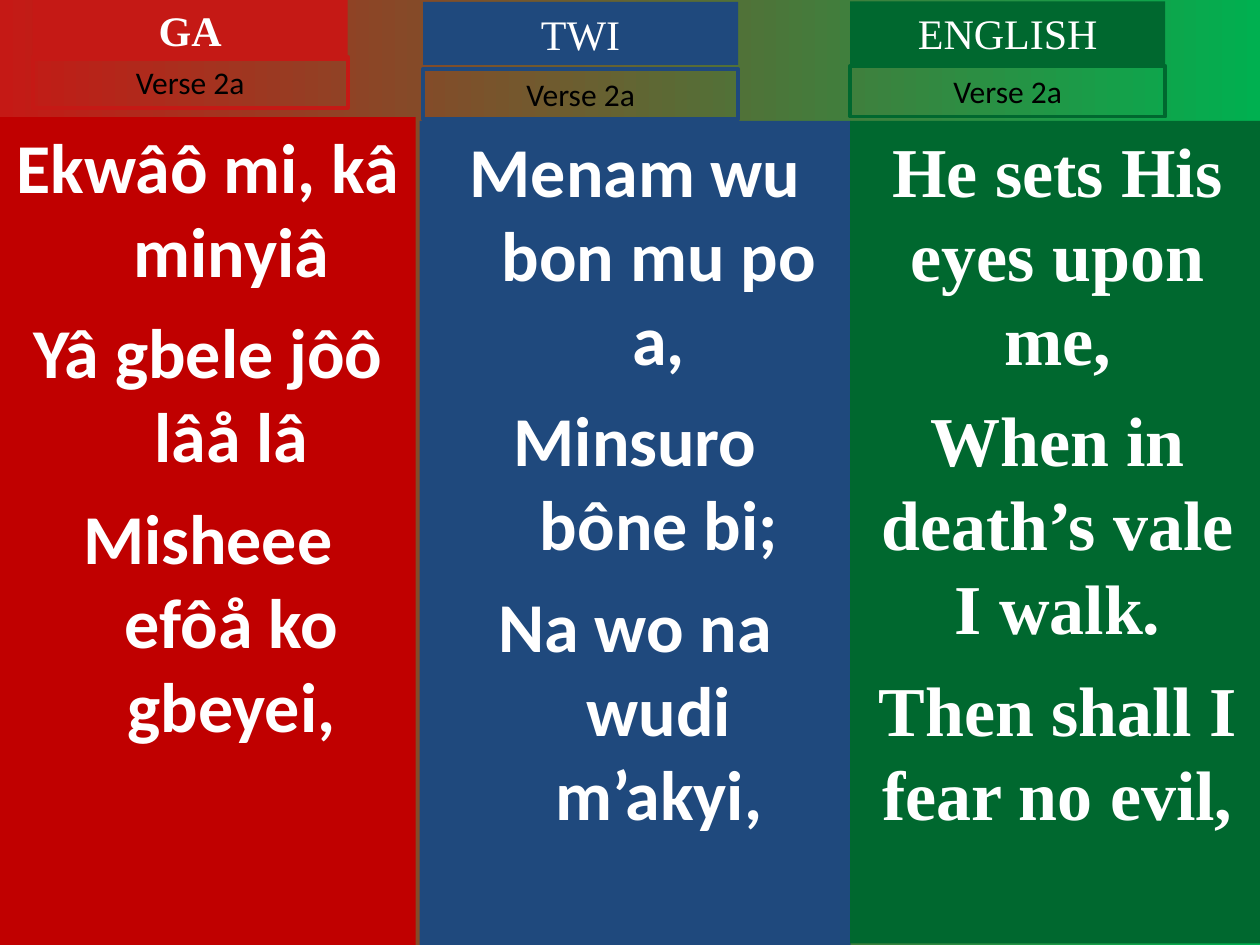
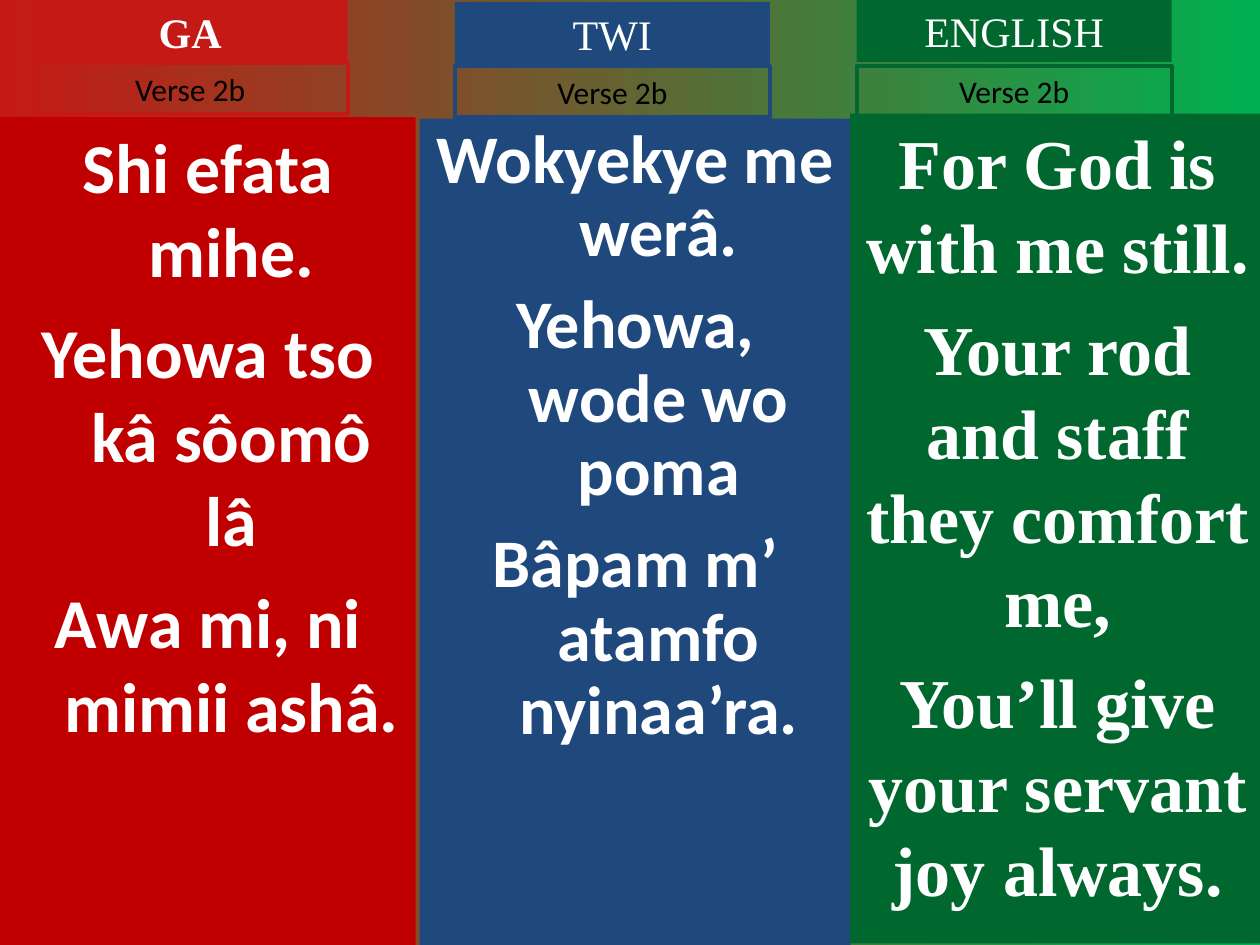
from pptx import Presentation
from pptx.dml.color import RGBColor
from pptx.enum.shapes import MSO_SHAPE
from pptx.enum.text import MSO_ANCHOR, PP_ALIGN
from pptx.util import Cm, Pt

RECT = MSO_SHAPE.RECTANGLE
TOP = MSO_ANCHOR.TOP
CENTER = PP_ALIGN.CENTER

RED = RGBColor(0xC5, 0x19, 0x15)
CRIMSON = RGBColor(0xC0, 0x00, 0x00)
BLUE = RGBColor(0x1F, 0x49, 0x7D)
GREEN = RGBColor(0x00, 0x68, 0x2F)
LIME = RGBColor(0x00, 0xB0, 0x50)
WHITE = RGBColor(0xFF, 0xFF, 0xFF)
BLACK = RGBColor(0x00, 0x00, 0x00)

SANS = "Calibri"
SERIF = "Times New Roman"
HEAD_W, HEAD_H, TAG_H = 6.35, 1.27, 1.02
HANG = 0.95

TONGUES = [
    dict(name="GA", left=0, width=8.38, foot=19.05, fill=CRIMSON, tint=RED,
         font=SANS, hang=HANG, bold=True),
    dict(name="TWI", left=8.46, width=8.69, foot=19.05, fill=BLUE, tint=BLUE,
         font=SANS, hang=HANG, bold=False),
    dict(name="ENGLISH", left=17.14, width=8.36, foot=19.02, fill=GREEN, tint=GREEN,
         font=SERIF, hang=0, bold=False),
]

VERSES = [
    ("Verse 2a", [
        dict(x=0.66, head=-0.04, tag=1.15, body=2.36, size=40, gap=10, pitch=1.0,
             lines=["Ekwâô mi, kâ minyiâ", "Yâ gbele jôô lâå lâ",
                    "Misheee efôå ko gbeyei,"]),
        dict(x=8.53, head=0.04, tag=1.39, body=2.44, size=40, gap=10, pitch=1.0,
             lines=["Menam wu bon mu po a,", "Minsuro bône bi;",
                    "Na wo na wudi m’akyi,"]),
        dict(x=17.14, head=0.03, tag=1.33, body=2.44, size=40, gap=10, pitch=1.0,
             lines=["He sets His eyes upon me,", "When in death’s vale I walk.",
                    "Then shall I fear no evil,"]),
    ]),
    ("Verse 2b", [
        dict(x=0.66, head=0, tag=1.28, body=2.36, size=40, gap=10, pitch=1.0,
             lines=["Shi efata mihe.", "Yehowa tso kâ sôomô lâ",
                    "Awa mi, ni mimii ashâ."]),
        dict(x=9.17, head=0.04, tag=1.34, body=2.39, size=38.9, gap=10.5, pitch=0.9,
             lines=["Wokyekye me werâ.", "Yehowa, wode wo poma",
                    "Bâpam m’ atamfo nyinaa’ra."]),
        dict(x=17.27, head=-0.02, tag=1.33, body=2.29, size=40, gap=10, pitch=1.0,
             lines=["For God is with me still.", "Your rod and staff they comfort me,",
                    "You’ll give your servant joy always."]),
    ]),
]


def add_box(slide, x, y, w, h, fill=None, line=None):
    box = slide.shapes.add_shape(RECT, Cm(x), Cm(y), Cm(w), Cm(h))
    box.shadow.inherit = False
    if fill is None:
        box.fill.background()
    else:
        box.fill.solid()
        box.fill.fore_color.rgb = fill
    if line is None:
        box.line.fill.background()
    else:
        box.line.color.rgb = line
        box.line.width = Pt(2.25)
    frame = box.text_frame
    frame.word_wrap = True
    frame.vertical_anchor = TOP
    return frame


def add_run(para, text, font, size, color, bold=False):
    para.alignment = CENTER
    run = para.add_run()
    run.text = text
    run.font.name = font
    run.font.size = Pt(size)
    run.font.bold = bold
    run.font.color.rgb = color


def add_lyrics(slide, tongue, part):
    top = part["body"]
    frame = add_box(slide, tongue["left"], top, tongue["width"],
                    tongue["foot"] - top, fill=tongue["fill"])
    for i, line in enumerate(part["lines"]):
        para = frame.add_paragraph() if i else frame.paragraphs[0]
        para.line_spacing = part["pitch"]
        if i:
            para.space_before = Pt(part["gap"])
        if tongue["hang"]:
            props = para._p.get_or_add_pPr()
            props.set("marL", str(Cm(tongue["hang"])))
            props.set("indent", str(-Cm(tongue["hang"])))
        add_run(para, line, tongue["font"], part["size"], WHITE, True)


def add_head(slide, tongue, part):
    frame = add_box(slide, part["x"], part["head"], HEAD_W, HEAD_H, fill=tongue["tint"])
    add_run(frame.paragraphs[0], tongue["name"], SERIF, 24, WHITE, tongue["bold"])


def add_tag(slide, tongue, part, label):
    frame = add_box(slide, part["x"], part["tag"], HEAD_W, TAG_H, line=tongue["tint"])
    add_run(frame.paragraphs[0], label, SANS, 18, BLACK)


def set_ground(slide):
    fill = slide.background.fill
    fill.gradient()
    fill.gradient_angle = 0
    for stop, color in zip(fill.gradient_stops, (RED, LIME)):
        stop.color.rgb = color


def main():
    deck = Presentation()
    deck.slide_width, deck.slide_height = Cm(25.4), Cm(19.05)
    for label, parts in VERSES:
        slide = deck.slides.add_slide(deck.slide_layouts[6])
        set_ground(slide)
        for tongue, part in zip(TONGUES, parts):
            add_lyrics(slide, tongue, part)
            add_head(slide, tongue, part)
            add_tag(slide, tongue, part, label)
    deck.save("out.pptx")


if __name__ == "__main__":
    main()
